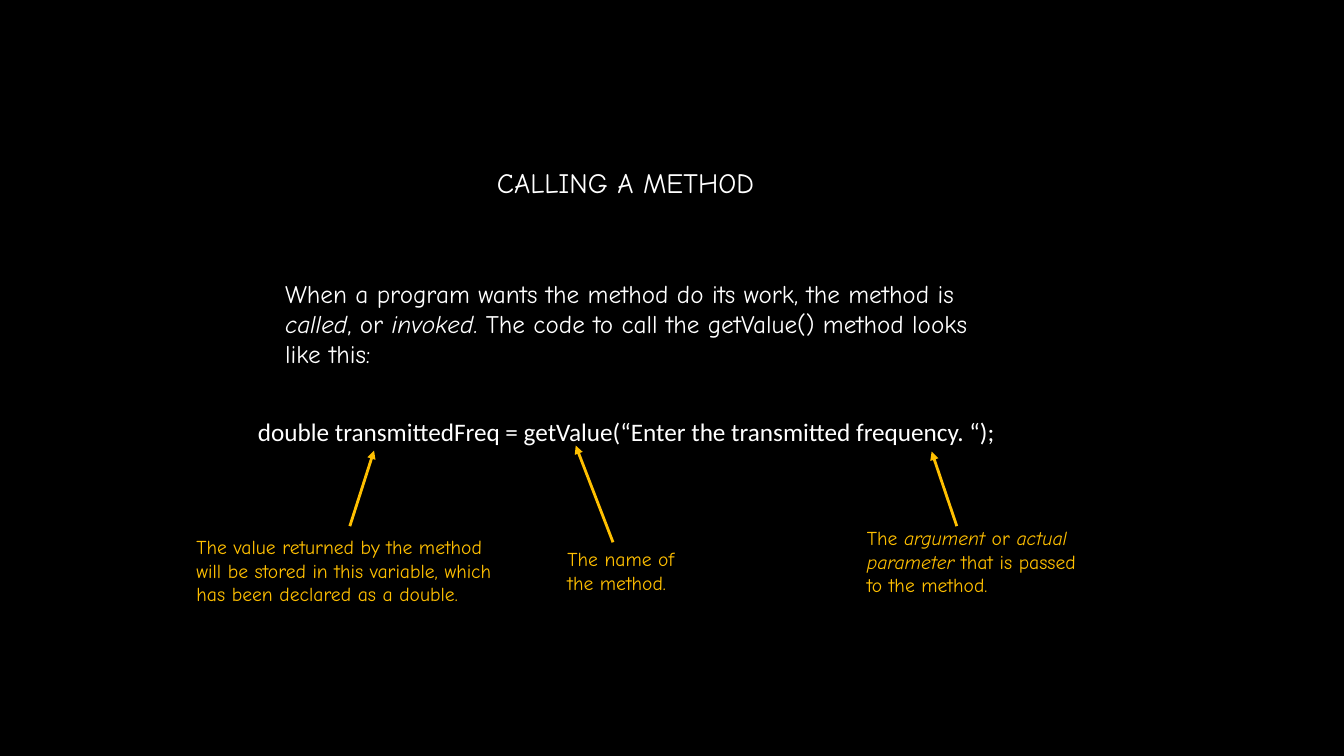
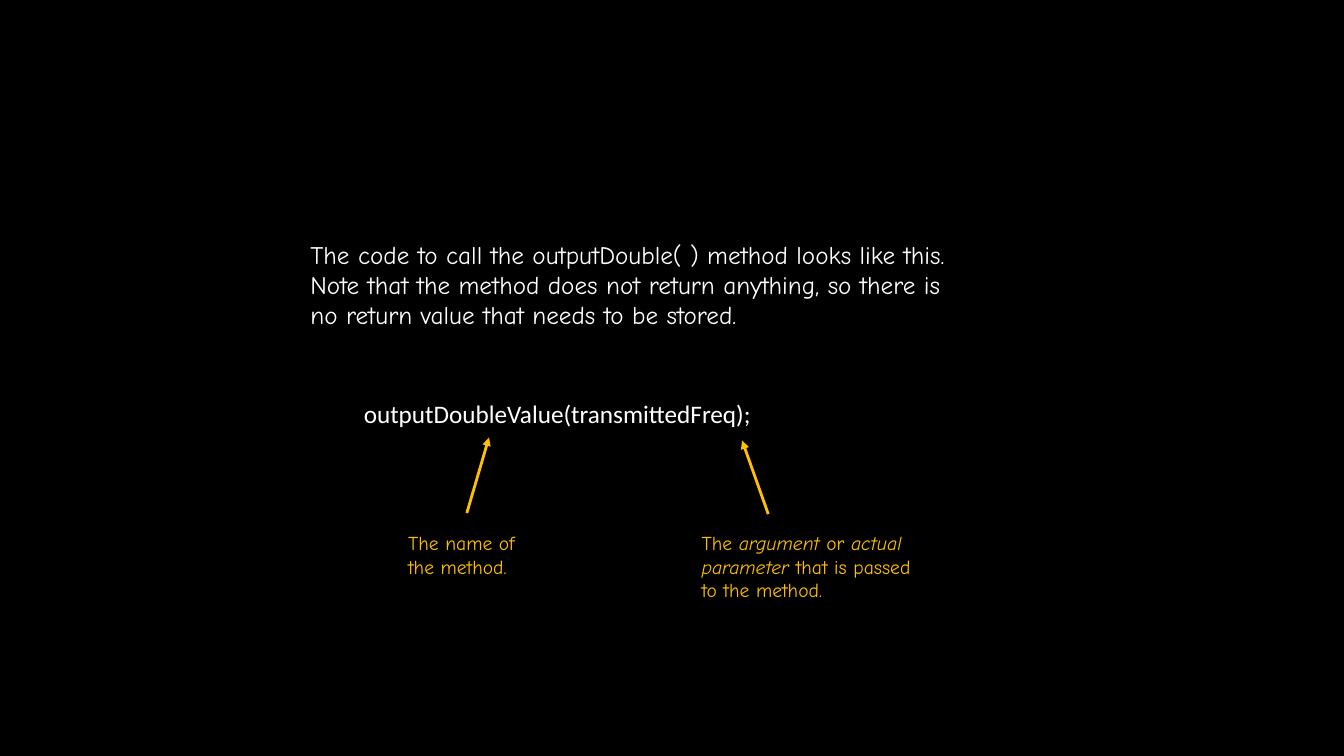
from pptx import Presentation
from pptx.dml.color import RGBColor
from pptx.enum.shapes import MSO_CONNECTOR
from pptx.oxml.ns import qn
from pptx.util import Inches, Pt
from lxml import etree

STRAIGHT = MSO_CONNECTOR.STRAIGHT
BLACK = RGBColor(0x00, 0x00, 0x00)
WHITE = RGBColor(0xFF, 0xFF, 0xFF)
GOLD = RGBColor(0xFF, 0xC0, 0x00)

# Text styles: font, size, colour
STYLES = {
    "title": ("Comic Neue", 20, WHITE),
    "body": ("Comic Neue", 18, WHITE),
    "code": ("Calibri", 18, WHITE),
    "note": ("Comic Neue", 14, GOLD),
}

# Notes used on both slides: lines, size; asterisks enclose italics
NAME = (["The name of", "the method."], (1.4, 0.57))
ARG = (["The *argument* or *actual*", "*parameter* that is passed",
        "to the method."], (2.5, 0.81))
VALUE = (["The value returned by the method",
          "will be stored in this variable, which",
          "has been declared as a double."], (3.49, 0.81))

# texts: style, lines, place, size; notes: note, place, arrow start, arrow end
SLIDES = [
    {
        "texts": [
            ("body", ["When a program wants the method do its work, the method is",
                      "*called*, or *invoked*. The code to call the getValue() method looks",
                      "like this:"], (2.73, 2.71), (7.73, 1.01)),
            ("title", ["CALLING A METHOD"], (4.83, 1.59), (3.08, 0.44)),
            ("code", ["double transmittedFreq = getValue(“Enter the transmitted frequency. “);"],
             (2.46, 4.08), (7.61, 0.4)),
        ],
        "notes": [
            (VALUE, (1.85, 5.26), (3.47, 5.22), (3.71, 4.47)),
            (NAME, (5.53, 5.38), (6.08, 5.38), (5.71, 4.42)),
            (ARG, (8.5, 5.17), (9.49, 5.22), (9.24, 4.48)),
        ],
    },
    {
        "texts": [
            ("body", ["The code to call the outputDouble( ) method looks like this.",
                      "Note that the method does not return anything, so there is",
                      "no return value that needs to be stored."], (2.98, 2.32), (7.16, 1.01)),
            ("code", ["outputDoubleValue(transmittedFreq);"], (3.51, 3.9), (4.09, 0.4)),
        ],
        "notes": [
            (NAME, (3.95, 5.22), (4.63, 5.09), (4.85, 4.34)),
            (ARG, (6.86, 5.22), (7.62, 5.1), (7.36, 4.37)),
        ],
    },
]


def add_text(slide, style, lines, place, size):
    font, points, color = STYLES[style]
    box = slide.shapes.add_textbox(*map(Inches, place + size))
    frame = box.text_frame
    frame.word_wrap = True
    for i, line in enumerate(lines):
        para = frame.paragraphs[0] if i == 0 else frame.add_paragraph()
        # Every second part lies between asterisks
        for j, part in enumerate(line.split("*")):
            if part:
                run = para.add_run()
                run.text = part
                run.font.name = font
                run.font.size = Pt(points)
                run.font.color.rgb = color
                run.font.italic = j % 2 == 1


def add_arrow(slide, start, end):
    arrow = slide.shapes.add_connector(STRAIGHT, *map(Inches, start + end))
    arrow.line.color.rgb = GOLD
    arrow.line.width = Pt(2)
    line = arrow.line._get_or_add_ln()
    etree.SubElement(line, qn("a:tailEnd"), type="triangle")
    etree.SubElement(arrow._element.spPr, qn("a:effectLst"))


def main():
    deck = Presentation()
    deck.slide_width, deck.slide_height = Inches(13.33), Inches(7.5)
    # Shared black background
    fill = deck.slide_master.background.fill
    fill.solid()
    fill.fore_color.rgb = BLACK
    blank = deck.slide_layouts[6]
    for content in SLIDES:
        slide = deck.slides.add_slide(blank)
        for text in content["texts"]:
            add_text(slide, *text)
        # Notes with arrows to the code
        for (lines, size), place, start, end in content["notes"]:
            add_text(slide, "note", lines, place, size)
            add_arrow(slide, start, end)
    deck.save("out.pptx")


if __name__ == "__main__":
    main()
